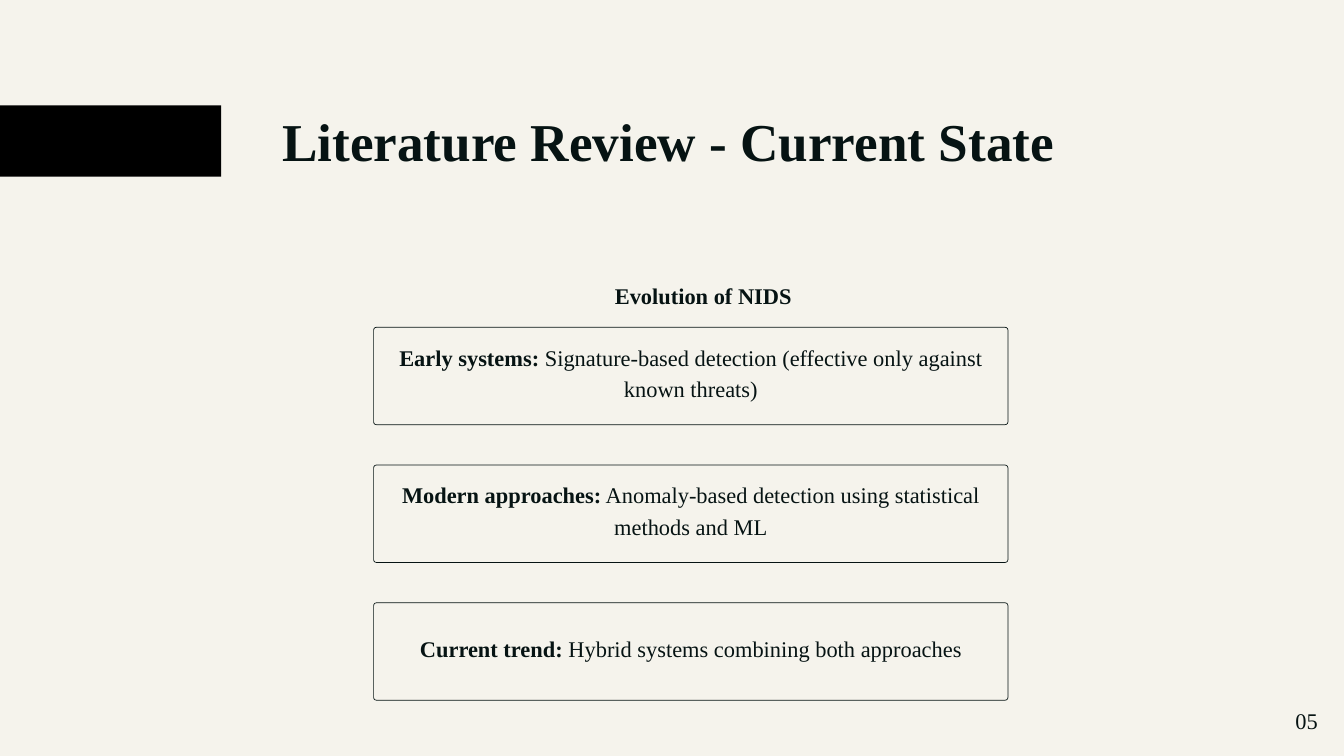
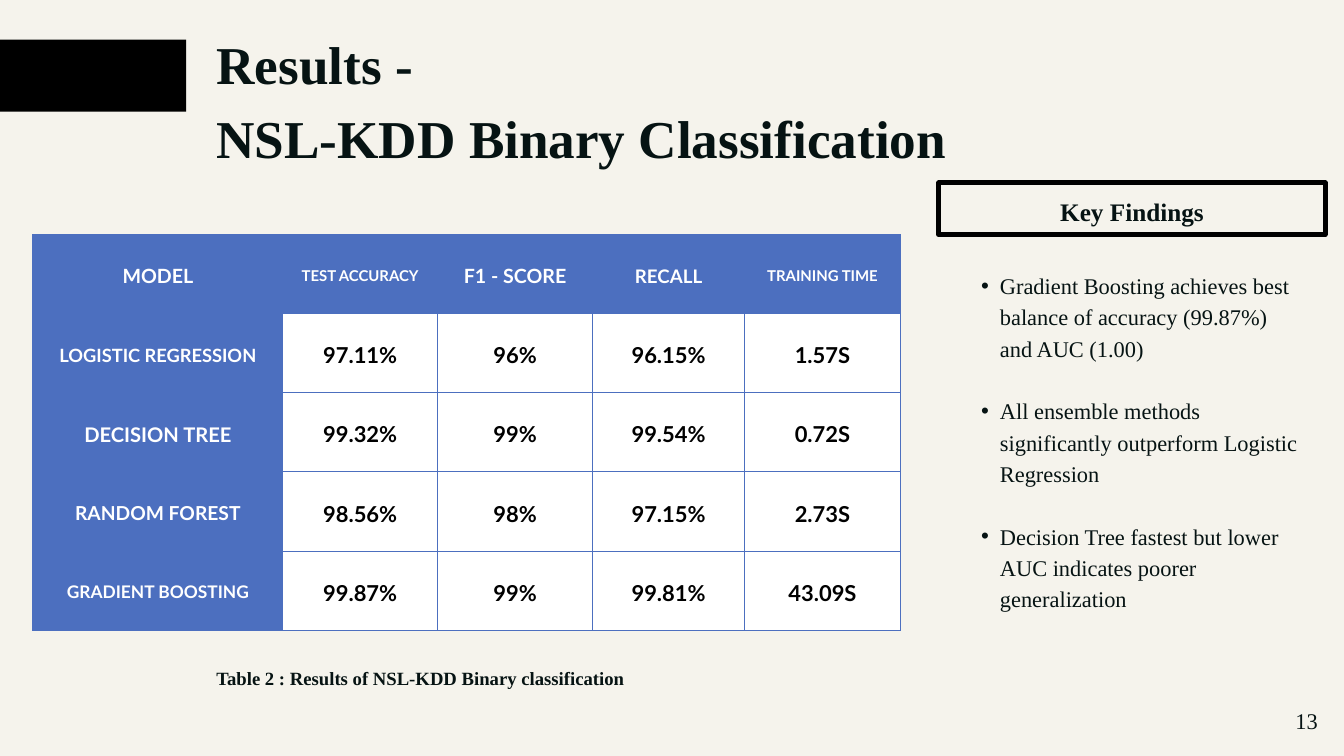
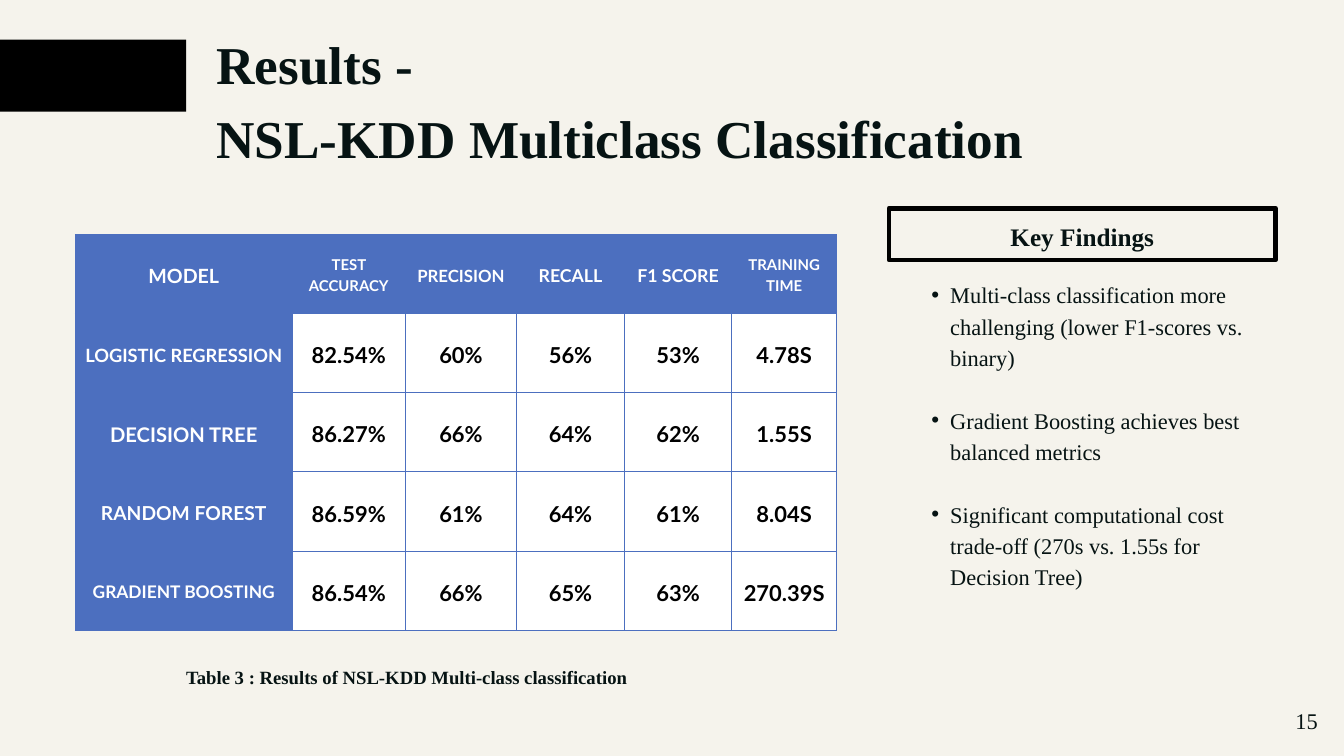
from dataclasses import dataclass

from lxml import etree
from pptx import Presentation
from pptx.dml.color import RGBColor
from pptx.enum.shapes import MSO_SHAPE
from pptx.enum.text import MSO_ANCHOR, MSO_AUTO_SIZE, PP_ALIGN
from pptx.oxml.ns import qn
from pptx.util import Inches, Pt

RECTANGLE = MSO_SHAPE.RECTANGLE
ROUNDED = MSO_SHAPE.ROUNDED_RECTANGLE
LEFT, CENTER = PP_ALIGN.LEFT, PP_ALIGN.CENTER
TOP, MIDDLE = MSO_ANCHOR.TOP, MSO_ANCHOR.MIDDLE

SLIDE_WIDTH, SLIDE_HEIGHT = Inches(20), Inches(11.25)
COLUMNS = 80  # square cells, so the slide is 45 rows high
CELL = SLIDE_WIDTH / COLUMNS

PAPER, INK, BLACK, WHITE, BLUE = "F5F3EC", "061313", "000000", "FFFFFF", "4C6FBF"
SERIF, SANS = "Times New Roman", "Lato"
LEADING = 1.4
BODY_SIZE = 24
VALUE_SIZE = 23.5
MODEL_SIZES = {
    "LOGISTIC REGRESSION": 19.6,
    "DECISION TREE": 21.6,
    "RANDOM FOREST": 20.6,
    "GRADIENT BOOSTING": 18.6,
}


@dataclass
class Box:
    """A rectangle measured in grid columns and rows."""
    left: float
    top: float
    width: float
    height: float

    def inside(self, left, top, width, height):
        return Box(self.left + left, self.top + top, width, height)

    def lengths(self):
        return [cells(n) for n in (self.left, self.top, self.width, self.height)]


def cells(number):
    return round(number * CELL)


def color(value):
    return RGBColor.from_string(value)


def fill_with(target, value):
    target.fill.solid()
    target.fill.fore_color.rgb = color(value)


def add_bullet(paragraph):
    properties = paragraph._p.get_or_add_pPr()
    properties.set("marL", str(Inches(0.57)))
    properties.set("indent", str(Inches(-0.28)))
    etree.SubElement(properties, qn("a:buFont")).set("typeface", "Arial")
    etree.SubElement(properties, qn("a:buChar")).set("char", "•")


def write(frame, *texts, lead="", size=BODY_SIZE, font=SERIF, ink=INK, bold=False,
          align=LEFT, bullet=False, gap=0):
    """Write one paragraph per text; lead is a bold opening, gap the points between."""
    for index, text in enumerate(texts):
        paragraph = frame.paragraphs[0] if index == 0 else frame.add_paragraph()
        paragraph.alignment = align
        paragraph.line_spacing = Pt(size * LEADING)
        if bullet:
            add_bullet(paragraph)
        if index and gap:
            paragraph.space_before = Pt(gap)
        for part, weight in ((lead, True), (text, bold)):
            if part:
                run = paragraph.add_run()
                run.text = part
                run.font.name, run.font.size, run.font.bold = font, Pt(size), weight
                run.font.color.rgb = color(ink)


def prepare_frame(frame, anchor=TOP, inset=0.0):
    frame.word_wrap = True
    frame.auto_size = MSO_AUTO_SIZE.NONE
    frame.vertical_anchor = anchor
    frame.margin_left = frame.margin_right = Inches(inset)
    frame.margin_top = frame.margin_bottom = Inches(inset)
    return frame


def add_text(slide, box, *texts, **style):
    shape = slide.shapes.add_textbox(*box.lengths())
    write(prepare_frame(shape.text_frame), *texts, **style)


def add_panel(slide, box, kind=RECTANGLE, fill=None, line=None, line_width=0.75):
    shape = slide.shapes.add_shape(kind, *box.lengths())
    shape.shadow.inherit = False
    if fill:
        fill_with(shape, fill)
    else:
        shape.fill.background()
    if line:
        shape.line.color.rgb = color(line)
        shape.line.width = Pt(line_width)
    else:
        shape.line.fill.background()
    return shape


def add_slide(presentation, band, title_box, title_lines, number):
    """Start a slide with its black band, title and page number."""
    slide = presentation.slides.add_slide(presentation.slide_layouts[5])
    add_panel(slide, band, fill=BLACK)
    title = slide.shapes.title
    title.left, title.top, title.width, title.height = title_box.lengths()
    write(prepare_frame(title.text_frame), *title_lines, size=57, bold=True)
    add_text(slide, Box(76.92, 41.84, 1.72, 1.72), number, align=CENTER)
    return slide


def add_evolution(slide, box, heading, stages):
    """Heading above a column of outlined stages, evenly spaced."""
    add_text(slide, box.inside(11.2, -2.96, 16.84, 1.68), heading, bold=True, align=CENTER)
    height, pitch = 5.8, 8.2
    for index, (name, description) in enumerate(stages):
        stage_box = box.inside(0, index * pitch, box.width, height)
        stage = add_panel(slide, stage_box, ROUNDED, line=INK)
        stage.adjustments[0] = 0.03
        frame = prepare_frame(stage.text_frame, MIDDLE, inset=0.06)
        frame.margin_bottom = Inches(0.22)
        write(frame, description, lead=name, align=CENTER)


def add_borders(cell):
    properties = cell._tc.get_or_add_tcPr()
    for side in ("a:lnL", "a:lnR", "a:lnT", "a:lnB"):
        line = etree.SubElement(properties, qn(side), w=str(Pt(1.09)))
        solid = etree.SubElement(line, qn("a:solidFill"))
        etree.SubElement(solid, qn("a:srgbClr"), val=BLUE)


def fill_cell(cell, text, size, is_label):
    add_borders(cell)
    fill_with(cell, BLUE if is_label else WHITE)
    cell.vertical_anchor = MIDDLE
    cell.margin_left = cell.margin_right = cell.margin_top = cell.margin_bottom = 0
    write(cell.text_frame, text, size=size, font=SANS, bold=True, align=CENTER,
          ink=WHITE if is_label else BLACK)


def add_results_table(slide, left, widths, headers, results):
    """headers pairs each column name with its size; results maps models to values."""
    row_height = 4.71
    row_count = len(results) + 1
    box = Box(left, 13.96, sum(widths), row_height * row_count)
    table = slide.shapes.add_table(row_count, len(widths), *box.lengths()).table
    table.first_row = table.horz_banding = False
    for column, width in zip(table.columns, widths):
        column.width = cells(width)
    for row in table.rows:
        row.height = cells(row_height)
    for column, (name, size) in enumerate(headers):
        fill_cell(table.cell(0, column), name, size, True)
    for row, (model, values) in enumerate(results.items(), 1):
        fill_cell(table.cell(row, 0), model, MODEL_SIZES[model], True)
        for column, value in enumerate(values, 1):
            fill_cell(table.cell(row, column), value, VALUE_SIZE, False)


def add_findings(slide, box, list_top, findings):
    """Framed heading with bullets list_top rows below the frame's top."""
    frame = add_panel(slide, box, line=BLACK, line_width=5.25)
    write(prepare_frame(frame.text_frame, MIDDLE), "Key Findings", size=27, bold=True,
          align=CENTER)
    add_text(slide, box.inside(1.36, list_top, 20.28, 22), *findings, bullet=True,
             gap=BODY_SIZE * LEADING)


def build_review(presentation):
    slide = add_slide(presentation, Box(0, 6.28, 13.16, 4.24), Box(16.8, 5.8, 46.4, 8.64),
                      ["Literature Review - Current State"], "05")
    add_evolution(slide, Box(22.24, 19.48, 37.76, 22.2), "Evolution of NIDS", [
        ("Early systems: ", "Signature-based detection (effective only against known threats)"),
        ("Modern approaches:", " Anomaly-based detection using statistical methods and ML"),
        ("Current trend:", " Hybrid systems combining both approaches"),
    ])


def build_results(presentation, subject, number, table, findings, caption, caption_corner):
    """Results slide; table and findings hold the arguments of those two regions."""
    slide = add_slide(presentation, Box(0, 2.36, 11.08, 4.28), Box(12.88, 1.2, 62.6, 12.72),
                      ["Results -", subject], number)
    add_results_table(slide, *table)
    add_findings(slide, *findings)
    add_text(slide, Box(*caption_corner, 46.4, 1.48), caption, size=20, bold=True)


def build_binary_results(presentation):
    headers = [("MODEL", 21), ("TEST ACCURACY", 16), ("F1 - SCORE", 21), ("RECALL", 20),
               ("TRAINING TIME", 16)]
    results = {
        "LOGISTIC REGRESSION": ["97.11%", "96%", "96.15%", "1.57S"],
        "DECISION TREE": ["99.32%", "99%", "99.54%", "0.72S"],
        "RANDOM FOREST": ["98.56%", "98%", "97.15%", "2.73S"],
        "GRADIENT BOOSTING": ["99.87%", "99%", "99.81%", "43.09S"],
    }
    findings = [
        "Gradient Boosting achieves best balance of accuracy (99.87%) and AUC (1.00)",
        "All ensemble methods significantly outperform Logistic Regression",
        "Decision Tree fastest but lower AUC indicates poorer generalization",
    ]
    build_results(presentation, "NSL-KDD Binary Classification", "13",
                  (1.96, [14.88, 9.2, 9.24, 9.04, 9.28], headers, results),
                  (Box(55.88, 10.88, 23, 3.08), 5.04, findings),
                  "Table 2 : Results of NSL-KDD Binary classification", (12.88, 39.48))


def build_multiclass_results(presentation):
    headers = [("MODEL", 21), ("TEST ACCURACY", 16), ("PRECISION", 18), ("RECALL", 19),
               ("F1 SCORE", 19), ("TRAINING TIME", 16)]
    results = {
        "LOGISTIC REGRESSION": ["82.54%", "60%", "56%", "53%", "4.78S"],
        "DECISION TREE": ["86.27%", "66%", "64%", "62%", "1.55S"],
        "RANDOM FOREST": ["86.59%", "61%", "64%", "61%", "8.04S"],
        "GRADIENT BOOSTING": ["86.54%", "66%", "65%", "63%", "270.39S"],
    }
    findings = [
        "Multi-class classification more challenging (lower F1-scores vs. binary)",
        "Gradient Boosting achieves best balanced metrics",
        "Significant computational cost trade-off (270s vs. 1.55s for Decision Tree)",
    ]
    build_results(presentation, "NSL-KDD Multiclass Classification", "15",
                  (4.48, [12.92, 6.72, 6.64, 6.4, 6.4, 6.24], headers, results),
                  (Box(52.92, 12.4, 23, 3.08), 4.08, findings),
                  "Table 3 : Results of NSL-KDD Multi-class classification", (11.08, 39.4))


def main():
    presentation = Presentation()
    presentation.slide_width, presentation.slide_height = SLIDE_WIDTH, SLIDE_HEIGHT
    fill_with(presentation.slide_master.background, PAPER)
    build_review(presentation)
    build_binary_results(presentation)
    build_multiclass_results(presentation)
    presentation.save("out.pptx")


if __name__ == "__main__":
    main()
